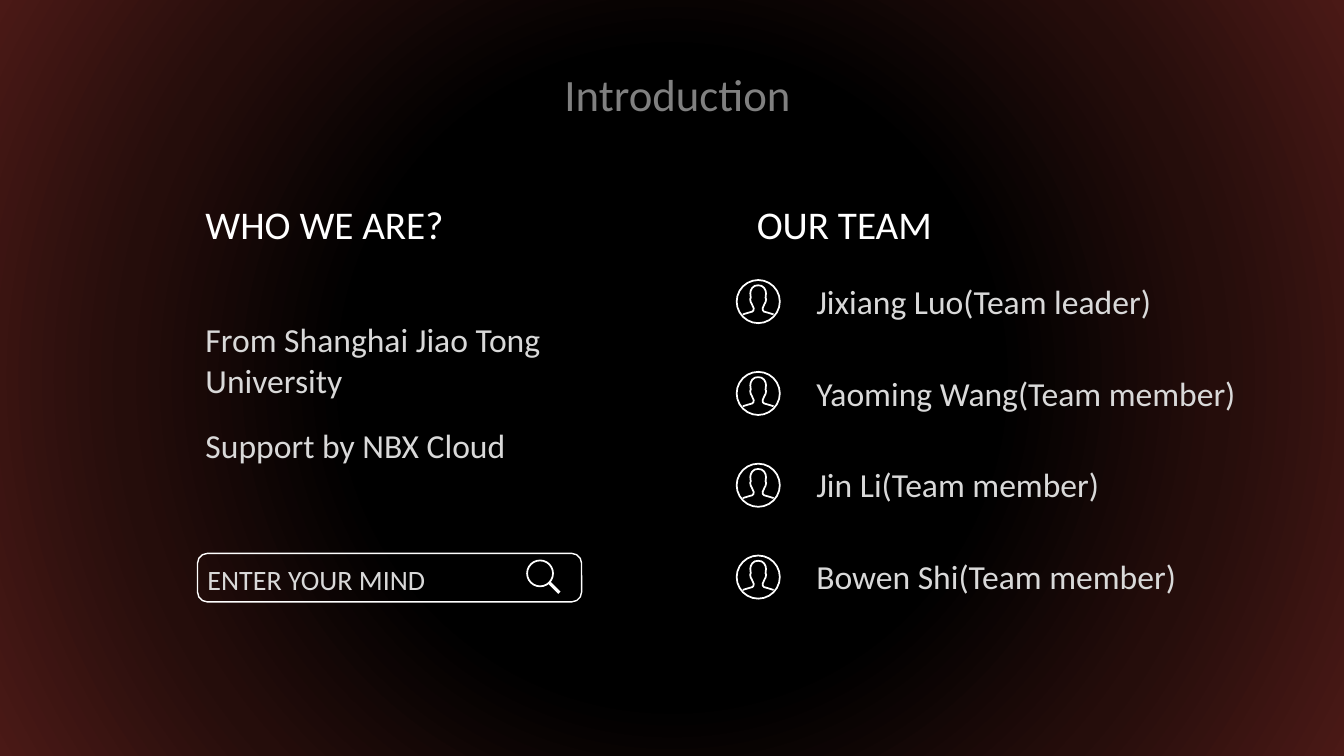
from lxml.etree import SubElement as Sub
from pptx import Presentation
from pptx.dml.color import RGBColor
from pptx.enum.shapes import MSO_CONNECTOR as LINE, MSO_SHAPE as SHAPE
from pptx.enum.text import MSO_ANCHOR as ANCHOR, MSO_AUTO_SIZE as FIT, PP_ALIGN as ALIGN
from pptx.oxml.ns import qn
from pptx.util import Pt


def tint(code):
    return RGBColor.from_string(code)


class Deck:
    """Holds the style and the current slide, and draws each kind of element."""

    font, white, pale = "Calibri", "FFFFFF", "D9D9D9"

    def __init__(self, wide, high):
        self.show = Presentation()
        self.show.slide_width, self.show.slide_height = Pt(wide), Pt(high)
        self.slide = self.show.slides.add_slide(self.show.slide_layouts[5])
        self.shapes = self.slide.shapes

    def glow(self, stops):
        self.slide.background.fill.gradient()
        grad = self.slide.element.find(".//" + qn("a:gradFill"))
        for child in list(grad):
            grad.remove(child)
        group = Sub(grad, qn("a:gsLst"))
        for place, code in stops:
            stop = Sub(group, qn("a:gs"), pos=str(place * 1000))
            Sub(stop, qn("a:srgbClr"), val=code)
        ring = Sub(grad, qn("a:path"), path="circle")
        Sub(ring, qn("a:fillToRect"), {side: "50000" for side in "ltrb"})

    def label(self, frame, words, size):
        frame.word_wrap = True
        frame.auto_size = FIT.NONE
        frame.vertical_anchor = ANCHOR.TOP
        para = frame.paragraphs[0]
        para.alignment = ALIGN.LEFT
        run = para.add_run()
        run.text = words
        run.font.name, run.font.size = self.font, Pt(size)
        return run.font

    def title(self, words, box, size, shades, angle):
        head = self.shapes.title
        head.left, head.top, head.width, head.height = map(Pt, box)
        fill = self.label(head.text_frame, words, size).fill
        fill.gradient()
        fill.gradient_angle = angle
        for stop, code in zip(fill.gradient_stops, shades):
            stop.color.rgb = tint(code)

    def text(self, words, box, size, code):
        frame = self.shapes.add_textbox(*map(Pt, box)).text_frame
        self.label(frame, words, size).color.rgb = tint(code)

    def edge(self, shape, width):
        shape.shadow.inherit = False
        shape.fill.background()
        shape.line.color.rgb = tint(self.white)
        shape.line.width = Pt(width)

    def outline(self, kind, box, width):
        shape = self.shapes.add_shape(kind, *map(Pt, box))
        self.edge(shape, width)
        return shape

    def stroke(self, ends, width):
        line = self.shapes.add_connector(LINE.STRAIGHT, *map(Pt, ends))
        line.line.color.rgb = tint(self.white)
        line.line.width = Pt(width)
        Sub(line._element.spPr, qn("a:effectLst"))

    def person(self, left, top):
        self.outline(SHAPE.OVAL, (left + 0.6, top + 0.6, 30.8, 30.8), 1.25)
        half = [(50, 252), (86, 241), (118, 232), (127, 222), (128, 208),
                (122, 194), (114, 176), (107, 164), (103, 143), (107, 133),
                (104, 102), (107, 82), (118, 62), (136, 48), (160, 44)]
        bust = half + [(320 - x, y) for x, y in reversed(half[:-1])]
        pen = self.shapes.build_freeform(*bust[0], scale=Pt(0.1))
        pen.add_line_segments(bust[1:], close=False)
        self.edge(pen.convert_to_shape(Pt(left), Pt(top)), 1.25)


def main():
    deck = Deck(960, 540)
    deck.glow([(42, "000000"), (71, "250D0B"), (100, "4A1916"), (100, "94322B")])
    deck.title("Introduction", (396, 44, 259, 46), 32, ("808080", "FFFFFF"), 230)

    left = 139.7
    deck.text("WHO WE ARE?", (left, 139.7, 256, 41), 28, deck.white)
    deck.text("From Shanghai Jiao Tong University", (left, 224.6, 325.4, 87), 24, deck.pale)
    deck.text("Support by NBX Cloud", (left, 300.2, 325.4, 58), 24, deck.pale)

    field = deck.outline(SHAPE.ROUNDED_RECTANGLE, (141.1, 395.3, 274.3, 34.6), 1)
    field.adjustments[0] = 0.2
    deck.text("ENTER YOUR MIND", (141.1, 398.2, 194.4, 31.7), 20, deck.pale)
    deck.outline(SHAPE.OVAL, (376.5, 400.3, 18.5, 18.5), 1.25)
    deck.stroke((392.5, 416.3, 399.6, 423.4), 2.25)

    deck.text("OUR TEAM", (533.5, 139.7, 256, 41), 28, deck.white)
    team = [("Jixiang Luo", "leader"), ("Yaoming Wang", "member"),
            ("Jin Li", "member"), ("Bowen Shi", "member")]
    for row, (name, role) in enumerate(team):
        top = 199.4 + 65.6 * row
        deck.person(525.6, top)
        deck.text(f"{name}(Team {role})", (576, top - 2.5, 318, 36), 24, deck.pale)

    deck.show.save("out.pptx")


if __name__ == "__main__":
    main()
